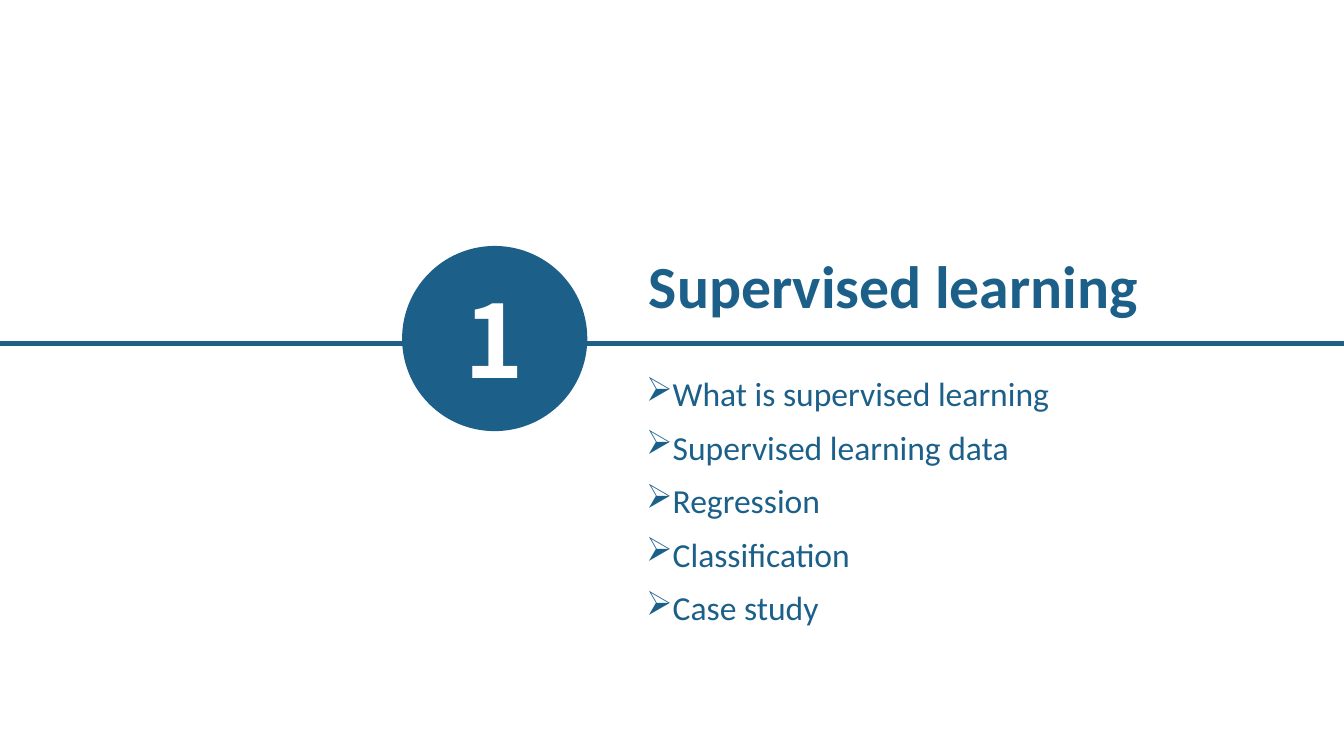
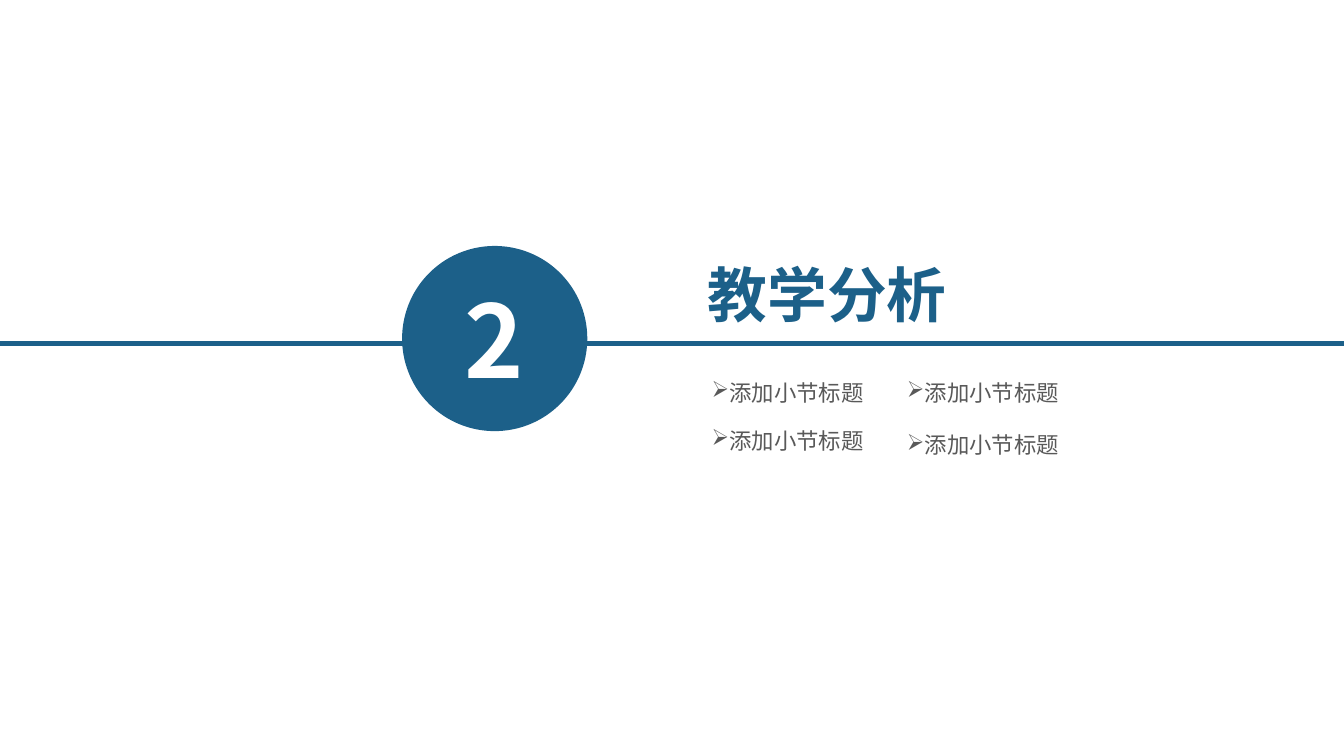
from lxml.etree import SubElement
from pptx import Presentation
from pptx.dml.color import RGBColor
from pptx.enum.shapes import MSO_CONNECTOR, MSO_SHAPE
from pptx.enum.text import MSO_ANCHOR, MSO_AUTO_SIZE, PP_ALIGN
from pptx.oxml.ns import qn
from pptx.util import Cm, Pt

COLORS = {"accent": "1C6089", "white": "FFFFFF", "grey": "595959"}
LATIN, CJK = "Calibri", "Noto Sans CJK SC"
PAGE_WIDTH, PAGE_HEIGHT = 25.4, 14.29
RULE_Y = 6.5
CIRCLE = (7.6, 4.65, 3.5, 3.5)
TOPIC_LEFT, TOPIC_TOP, TOPIC_HEIGHT = 11.96, 6.93, 1.01

TOPICS = [
    ("What is supervised learning", 9.19),
    ("Supervised learning data", 9.19),
    ("Regression", 9.86),
    ("Classification", 6.99),
    ("Case study", 6.99),
]
SUBTITLE = "添加小节标题"
SUBTITLE_COLUMNS = [(13.2, (7.04, 7.95)), (16.89, (7.04, 8.03))]

SECTIONS = [
    {
        "number": "1",
        "title": "Supervised learning",
        "title_area": (11.99, 4.57, 9.8, 1.6),
        "items": [
            (text, (TOPIC_LEFT, TOPIC_TOP + row * TOPIC_HEIGHT, width, TOPIC_HEIGHT))
            for row, (text, width) in enumerate(TOPICS)
        ],
        "style": (LATIN, 18, "accent"),
        "anchor": MSO_ANCHOR.MIDDLE,
    },
    {
        "number": "2",
        "title": "教学分析",
        "title_area": (13.11, 4.75, 5.05, 1.6),
        "items": [
            (SUBTITLE, (left, top, 3.81, 0.76))
            for left, tops in SUBTITLE_COLUMNS
            for top in tops
        ],
        "style": (CJK, 12, "grey"),
        "anchor": MSO_ANCHOR.TOP,
    },
]


def rgb(name):
    return RGBColor.from_string(COLORS[name])


def lengths(area):
    return [Cm(value) for value in area]


def write(shape, text, style, anchor, bold=False, align=PP_ALIGN.CENTER, bullet=None):
    name, size, color = style
    frame = shape.text_frame
    frame.vertical_anchor = anchor
    frame.text = text
    para = frame.paragraphs[0]
    para.alignment = align
    if bullet:
        SubElement(para._p.get_or_add_pPr(), qn("a:buChar"), char=bullet)
    font = para.font
    font.name, font.size, font.bold = name, Pt(size), bold
    font.color.rgb = rgb(color)
    SubElement(para._p.pPr.find(qn("a:defRPr")), qn("a:ea"), typeface=CJK)


def add_rule(page):
    y = Cm(RULE_Y)
    rule = page.shapes.add_connector(MSO_CONNECTOR.STRAIGHT, 0, y, Cm(PAGE_WIDTH), y)
    rule.line.color.rgb = rgb("accent")
    rule.line.width = Pt(2.75)
    SubElement(rule._element.spPr, qn("a:effectLst"))


def add_number(page, number):
    circle = page.shapes.add_shape(MSO_SHAPE.OVAL, *lengths(CIRCLE))
    circle.shadow.inherit = False
    circle.fill.solid()
    circle.fill.fore_color.rgb = rgb("accent")
    circle.line.fill.background()
    frame = circle.text_frame
    frame.margin_left = frame.margin_right = Cm(0.18)
    frame.margin_top = frame.margin_bottom = Cm(0.1)
    write(circle, number, (CJK, 54, "white"), MSO_ANCHOR.MIDDLE, bold=True)


def set_title(page, text, area):
    title = page.shapes.title
    title.left, title.top, title.width, title.height = lengths(area)
    title.text_frame.word_wrap = False
    title.text_frame.auto_size = MSO_AUTO_SIZE.SHAPE_TO_FIT_TEXT
    write(title, text, (LATIN, 32, "accent"), MSO_ANCHOR.TOP, bold=True)


def add_item(page, text, area, style, anchor):
    box = page.shapes.add_textbox(*lengths(area))
    box.text_frame.word_wrap = True
    box.text_frame.auto_size = MSO_AUTO_SIZE.SHAPE_TO_FIT_TEXT
    write(box, text, style, anchor, align=PP_ALIGN.LEFT, bullet="➢")


def add_section(deck, section):
    page = deck.slides.add_slide(deck.slide_layouts[5])
    add_rule(page)
    add_number(page, section["number"])
    set_title(page, section["title"], section["title_area"])
    for text, area in section["items"]:
        add_item(page, text, area, section["style"], section["anchor"])


def main():
    deck = Presentation()
    deck.slide_width, deck.slide_height = Cm(PAGE_WIDTH), Cm(PAGE_HEIGHT)
    for section in SECTIONS:
        add_section(deck, section)
    deck.save("out.pptx")


if __name__ == "__main__":
    main()
